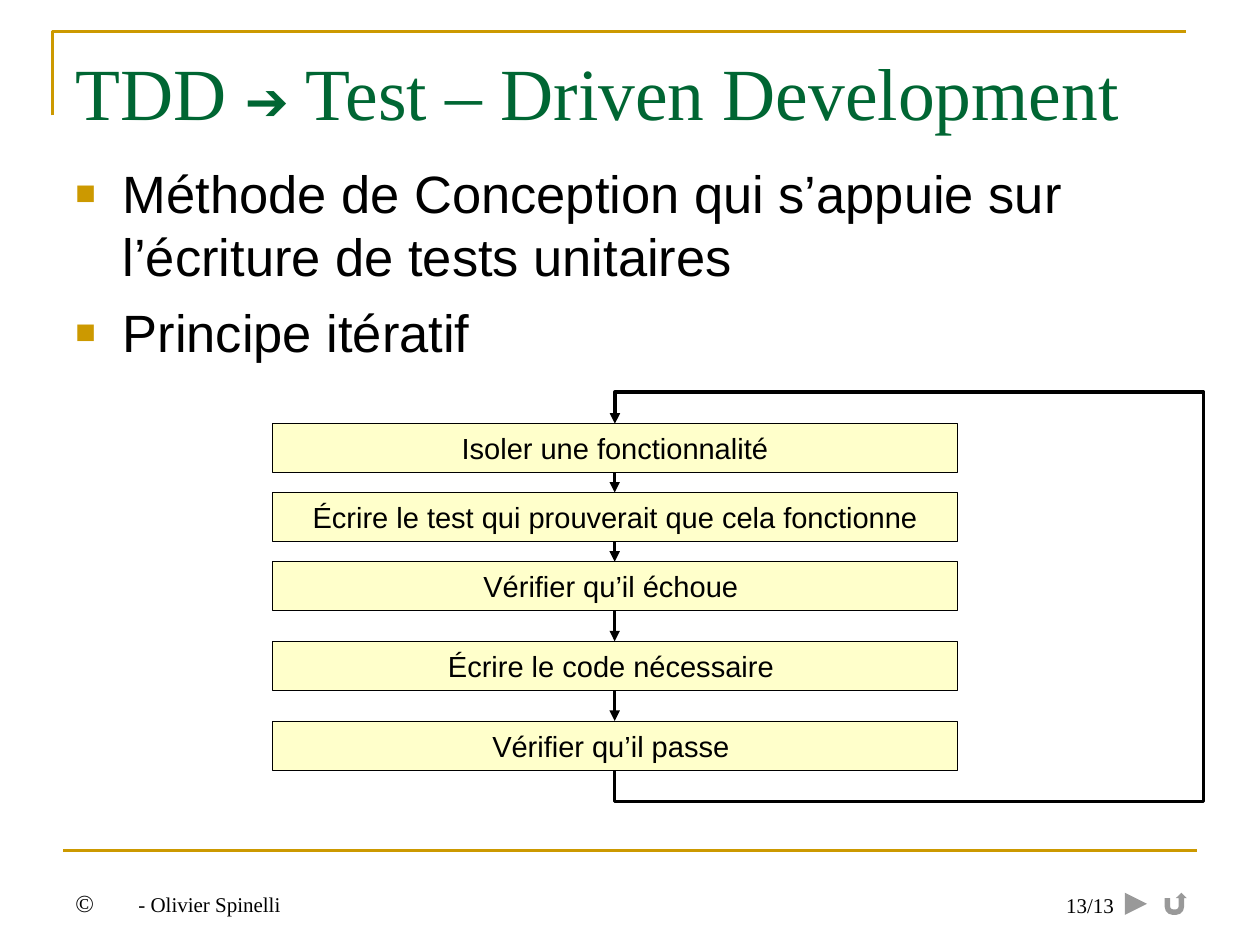
"""Build the slide on test-driven development and its iterative loop."""
from lxml import etree
from pptx import Presentation
from pptx.dml.color import RGBColor
from pptx.enum.shapes import MSO_CONNECTOR, MSO_SHAPE
from pptx.enum.text import MSO_ANCHOR, PP_ALIGN
from pptx.oxml.ns import qn
from pptx.util import Pt

LEFT, CENTER, RIGHT = PP_ALIGN.LEFT, PP_ALIGN.CENTER, PP_ALIGN.RIGHT
TOP, MIDDLE, BOTTOM = MSO_ANCHOR.TOP, MSO_ANCHOR.MIDDLE, MSO_ANCHOR.BOTTOM
STRAIGHT, ELBOW = MSO_CONNECTOR.STRAIGHT, MSO_CONNECTOR.ELBOW
RECTANGLE = MSO_SHAPE.RECTANGLE

SERIF, SANS = "Times New Roman", "Arial"
BLACK, GREEN, GOLD, YELLOW, WHITE = "000000", "006633", "CC9900", "FFFF99", "FFFFFF"

TITLE = [("TDD ", 42, SERIF), ("➔", 30, SANS), (" Test – Driven Development", 42, SERIF)]
BULLETS = [
    "Méthode de Conception qui s’appuie sur l’écriture de tests unitaires",
    "Principe itératif",
]
STEPS = [
    ("Isoler une fonctionnalité", 242),
    ("Écrire le test qui prouverait que cela fonctionne", 281.5),
    ("Vérifier qu’il échoue ", 321),
    ("Écrire le code nécessaire ", 366.5),
    ("Vérifier qu’il passe ", 412),
]
FOOTER = [("©\t", 14, SERIF), ("- Olivier Spinelli", 12, SERIF)]
PAGE_NUMBER = [("13/13", 12, SERIF)]
BUTTONS = [
    (MSO_SHAPE.ACTION_BUTTON_FORWARD_OR_NEXT, 637.75),
    (MSO_SHAPE.ACTION_BUTTON_RETURN, 660.5),
]

STEP_LEFT, STEP_WIDTH, STEP_HEIGHT = 155.75, 391, 28
AXIS = STEP_LEFT + STEP_WIDTH / 2
LOOP_RIGHT, LOOP_MARGIN, LOOP_DEPTH = 690.5, 18, 0.2


def color(value):
    return RGBColor.from_string(value)


def set_all(target, values):
    for name, value in values.items():
        setattr(target, name, value)


def add_spans(para, spans, tint=BLACK):
    for text, size, font in spans:
        span = para.add_run()
        span.text = text
        set_all(span.font, {"size": Pt(size), "name": font})
        span.font.color.rgb = color(tint)


def add_text(page, place, spans, anchor, tint=BLACK, align=LEFT, right_inset=7.2):
    box = page.shapes.add_textbox(*map(Pt, place))
    set_all(box.text_frame, {
        "word_wrap": True, "vertical_anchor": anchor, "margin_right": Pt(right_inset),
    })
    para = box.text_frame.paragraphs[0]
    para.alignment = align
    add_spans(para, spans, tint)


def add_bullets(page, place, items):
    box = page.shapes.add_textbox(*map(Pt, place))
    frame = box.text_frame
    frame.word_wrap = True
    for index, item in enumerate(items):
        para = frame.add_paragraph() if index else frame.paragraphs[0]
        para.space_before = Pt(7.5)
        add_spans(para, [(item, 30, SANS)])
        properties = para._p.get_or_add_pPr()
        properties.set("marL", str(Pt(27)))
        properties.set("indent", str(Pt(-27)))
        tint = etree.SubElement(properties, qn("a:buClr"))
        etree.SubElement(tint, qn("a:srgbClr"), val=GOLD)
        etree.SubElement(properties, qn("a:buSzPct"), val="65000")
        etree.SubElement(properties, qn("a:buFont"), typeface=SANS)
        etree.SubElement(properties, qn("a:buChar"), char="■")


def add_step(page, text, top):
    box = page.shapes.add_shape(
        RECTANGLE, Pt(STEP_LEFT), Pt(top), Pt(STEP_WIDTH), Pt(STEP_HEIGHT))
    box.shadow.inherit = False
    box.fill.solid()
    box.fill.fore_color.rgb = color(YELLOW)
    fill = box._element.spPr.find(qn("a:solidFill"))
    etree.SubElement(fill[0], qn("a:alpha"), val="50000")
    box.line.color.rgb = color(BLACK)
    box.line.width = Pt(0.25)
    set_all(box.text_frame, {"word_wrap": True, "vertical_anchor": MIDDLE})
    para = box.text_frame.paragraphs[0]
    para.alignment = CENTER
    add_spans(para, [(text, 16.6, SANS)])


def add_line(page, kind, ends, tint, width, arrow=False):
    line = page.shapes.add_connector(kind, *map(Pt, ends))
    line.line.color.rgb = color(tint)
    line.line.width = Pt(width)
    properties = line._element.spPr
    if arrow:
        etree.SubElement(properties.find(qn("a:ln")), qn("a:tailEnd"), type="triangle")
    etree.SubElement(properties, qn("a:effectLst"))
    return line


def add_loop(page, top, bottom):
    half, middle = (bottom - top) / 2, (top + bottom) / 2
    ends = (AXIS - half, middle, AXIS + half, middle + LOOP_DEPTH)
    line = add_line(page, ELBOW, ends, BLACK, 2, arrow=True)
    properties = line._element.spPr
    for name, value in {"rot": "5400000", "flipH": "1", "flipV": "1"}.items():
        properties.xfrm.set(name, value)
    geometry = properties.find(qn("a:prstGeom"))
    geometry.set("prst", "bentConnector5")
    guides = geometry.find(qn("a:avLst"))
    margin = LOOP_MARGIN / (bottom - top)
    ratios = (-margin, (LOOP_RIGHT - AXIS) / LOOP_DEPTH, 1 + margin)
    for number, ratio in enumerate(ratios, 1):
        etree.SubElement(guides, qn("a:gd"), name=f"adj{number}",
                         fmla=f"val {round(ratio * 100000)}")


def add_frame(page):
    builder = page.shapes.build_freeform(Pt(30), Pt(66))
    builder.add_line_segments([(Pt(30), Pt(18)), (Pt(678), Pt(18))], close=False)
    corner = builder.convert_to_shape()
    corner.shadow.inherit = False
    corner.fill.background()
    corner.line.color.rgb = color(GOLD)
    corner.line.width = Pt(1.5)
    add_line(page, STRAIGHT, (36, 486, 684, 486), GOLD, 1.5)
    for kind, left in BUTTONS:
        button = page.shapes.add_shape(kind, Pt(left), Pt(508), Pt(22.75), Pt(17))
        button.shadow.inherit = False
        button.fill.solid()
        button.fill.fore_color.rgb = color(WHITE)
        button.line.fill.background()


def main():
    deck = Presentation()
    set_all(deck, {"slide_width": Pt(720), "slide_height": Pt(540)})
    page = deck.slides.add_slide(deck.slide_layouts[6])
    add_frame(page)
    add_text(page, (36, 492, 168, 36), FOOTER, BOTTOM)
    add_text(page, (516, 492, 168, 36), PAGE_NUMBER, BOTTOM, align=RIGHT, right_inset=47.5)
    add_text(page, (36, 21.5, 648, 61), TITLE, MIDDLE, GREEN)
    add_bullets(page, (36, 88.5, 648, 391), BULLETS)
    for text, top in STEPS:
        add_step(page, text, top)
    tops = [top for _, top in STEPS]
    for upper, lower in zip(tops, tops[1:]):
        add_line(page, STRAIGHT, (AXIS, upper + STEP_HEIGHT, AXIS, lower), BLACK, 2, arrow=True)
    add_loop(page, tops[0], tops[-1] + STEP_HEIGHT)
    deck.save("out.pptx")


if __name__ == "__main__":
    main()
